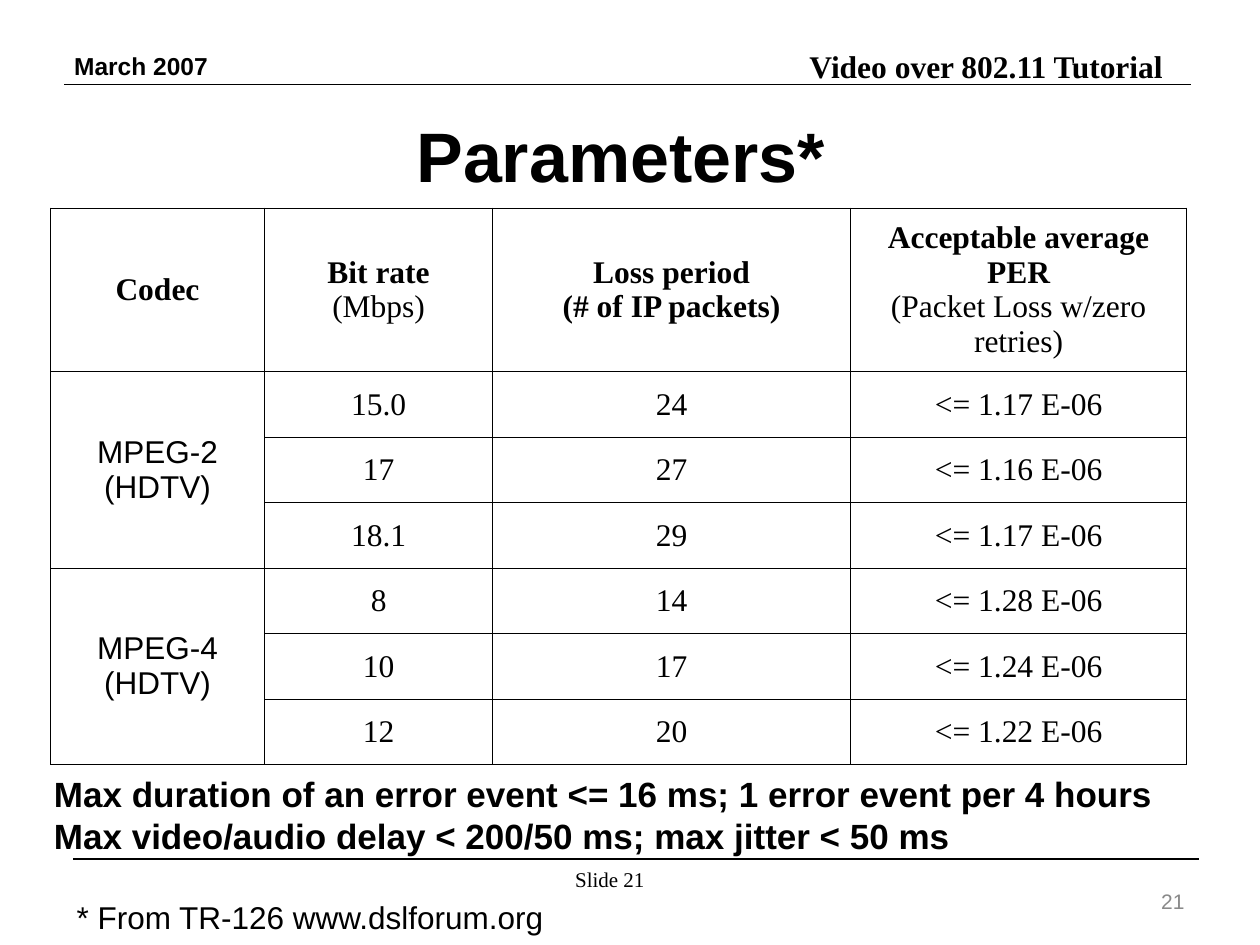
from lxml.etree import SubElement
from pptx import Presentation
from pptx.dml.color import RGBColor
from pptx.enum.shapes import MSO_CONNECTOR
from pptx.enum.text import MSO_ANCHOR, PP_ALIGN
from pptx.oxml.ns import qn
from pptx.util import Inches, Pt

BLACK = RGBColor(0x00, 0x00, 0x00)
WHITE = RGBColor(0xFF, 0xFF, 0xFF)
GRAY = RGBColor(0x89, 0x89, 0x89)
SANS = "Arial"
SERIF = "Times New Roman"

COLUMN_WIDTHS = [1.7, 1.81, 2.84, 2.67]
HEADER_HEIGHT, ROW_HEIGHT = 1.3, 0.52
# Each heading is a list of (line, bold)
HEADINGS = [
    [("Codec", True)],
    [("Bit rate", True), ("(Mbps)", False)],
    [("Loss period", True), ("(# of IP packets)", True)],
    [("Acceptable average PER", True), ("(Packet Loss w/zero retries)", False)],
]
CODECS = {
    "MPEG-2 (HDTV)": [
        ("15.0", "24", "<= 1.17 E-06"),
        ("17", "27", "<= 1.16 E-06"),
        ("18.1", "29", "<= 1.17 E-06"),
    ],
    "MPEG-4 (HDTV)": [
        ("8", "14", "<= 1.28 E-06"),
        ("10", "17", "<= 1.24 E-06"),
        ("12", "20", "<= 1.22 E-06"),
    ],
}


def write_lines(frame, lines, size, font, align, color=BLACK):
    """Write (text, bold) lines, one paragraph each."""
    for index, (text, bold) in enumerate(lines):
        paragraph = frame.paragraphs[0] if index == 0 else frame.add_paragraph()
        paragraph.text = text
        paragraph.alignment = align
        paragraph.font.size = Pt(size)
        paragraph.font.name = font
        paragraph.font.bold = bold
        paragraph.font.color.rgb = color


def add_text(slide, box, lines, size, font=SANS, bold=False, align=PP_ALIGN.LEFT,
             color=BLACK, anchor=MSO_ANCHOR.TOP, margins=(0.1, 0.05)):
    shape = slide.shapes.add_textbox(*map(Inches, box))
    frame = shape.text_frame
    frame.word_wrap = True
    frame.vertical_anchor = anchor
    frame.margin_left = frame.margin_right = Inches(margins[0])
    frame.margin_top = frame.margin_bottom = Inches(margins[1])
    write_lines(frame, [(line, bold) for line in lines], size, font, align, color)
    return shape


def add_rule(slide, left, top, width):
    rule = slide.shapes.add_connector(
        MSO_CONNECTOR.STRAIGHT, Inches(left), Inches(top), Inches(left + width), Inches(top))
    rule.line.color.rgb = BLACK
    rule.line.width = Pt(1)
    SubElement(rule._element.spPr, qn("a:effectLst"))


def add_borders(cell):
    properties = cell._tc.get_or_add_tcPr()
    for side in ("lnL", "lnR", "lnT", "lnB"):
        line = SubElement(properties, qn(f"a:{side}"), w=str(Pt(0.45)))
        fill = SubElement(line, qn("a:solidFill"))
        SubElement(fill, qn("a:srgbClr"), val=str(BLACK))


def write_cell(cell, lines, font=SERIF):
    cell.vertical_anchor = MSO_ANCHOR.MIDDLE
    write_lines(cell.text_frame, lines, 18, font, PP_ALIGN.CENTER)


def add_parameter_table(slide):
    row_count = 1 + sum(len(rows) for rows in CODECS.values())
    table = slide.shapes.add_table(
        row_count, len(COLUMN_WIDTHS), Inches(0.4), Inches(1.65), Inches(sum(COLUMN_WIDTHS)),
        Inches(HEADER_HEIGHT + ROW_HEIGHT * (row_count - 1))).table
    table.first_row = table.horz_banding = False
    for column, width in zip(table.columns, COLUMN_WIDTHS):
        column.width = Inches(width)
    for index, row in enumerate(table.rows):
        row.height = Inches(ROW_HEIGHT if index else HEADER_HEIGHT)

    # Plain grid: white cells, thin black borders
    for cell in table.iter_cells():
        add_borders(cell)
        cell.fill.solid()
        cell.fill.fore_color.rgb = WHITE

    for column, heading in enumerate(HEADINGS):
        write_cell(table.cell(0, column), heading)

    # One merged codec cell beside its rows of values
    top = 1
    for codec, rows in CODECS.items():
        codec_cell = table.cell(top, 0)
        codec_cell.merge(table.cell(top + len(rows) - 1, 0))
        write_cell(codec_cell, [(codec, False)], SANS)
        for row, values in enumerate(rows, top):
            for column, value in enumerate(values, 1):
                write_cell(table.cell(row, column), [(value, False)])
        top += len(rows)


def main():
    presentation = Presentation()
    presentation.slide_width, presentation.slide_height = Inches(10), Inches(7.5)
    slide = presentation.slides.add_slide(presentation.slide_layouts[6])

    # Header and footer
    add_rule(slide, 0.51, 0.67, 8.94)
    add_rule(slide, 0.58, 6.82, 8.94)
    add_text(slide, (5.87, 0.37, 3.36, 0.3), ["Video over 802.11 Tutorial"], 18, SERIF, True,
             PP_ALIGN.RIGHT, anchor=MSO_ANCHOR.BOTTOM, margins=(0, 0))
    add_text(slide, (0.49, 0.36, 1.56, 0.34), ["March 2007"], 14, bold=True)
    add_text(slide, (4.3, 6.88, 1.08, 0.2), ["Slide 21"], 12, SERIF,
             align=PP_ALIGN.CENTER, margins=(0, 0))

    add_parameter_table(slide)

    # Page number, limits, title and footnote
    add_text(slide, (7.17, 6.95, 2.33, 0.4), ["21"], 12, align=PP_ALIGN.RIGHT,
             color=GRAY, anchor=MSO_ANCHOR.MIDDLE)
    add_text(slide, (0.33, 6.08, 9.23, 1.1),
             ["Max duration of an error event <= 16 ms; 1 error event per 4 hours",
              "Max video/audio delay < 200/50 ms; max jitter < 50 ms"], 20, bold=True)
    title = add_text(slide, (0.38, 0.78, 9.09, 0.77), ["Parameters*"], 40, bold=True,
                     align=PP_ALIGN.CENTER)
    title.text_frame.margin_top = Inches(0.11)
    add_text(slide, (0.51, 7.08, 3.92, 0.4), ["* From TR-126 www.dslforum.org"], 18)

    presentation.save("out.pptx")


if __name__ == "__main__":
    main()
